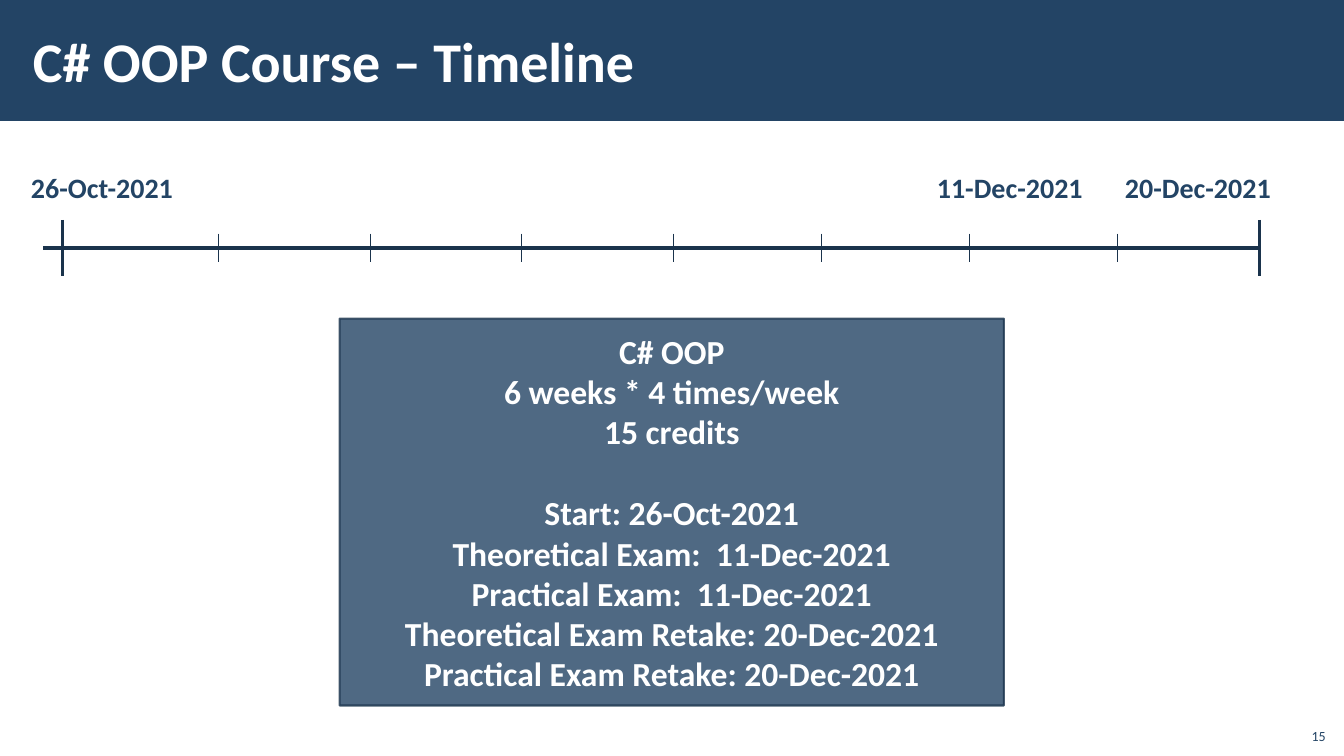
from lxml.etree import SubElement
from pptx import Presentation
from pptx.dml.color import RGBColor as RGB
from pptx.enum.shapes import MSO_CONNECTOR as Link, MSO_SHAPE as Form
from pptx.enum.text import MSO_ANCHOR as Anchor, PP_ALIGN as Align
from pptx.oxml.ns import qn
from pptx.util import Cm, Pt

HEX = {"navy": "234465", "dark": "1A334C", "white": "FFFFFF"}
WIDE, HIGH = 33.87, 19.05

DATES = [(0.53, "26-Oct-2021"), (23.36, "11-Dec-2021"), (28.1, "20-Dec-2021")]
FACTS = ["C# OOP", "6 weeks * 4 times/week", "15 credits"]
EXAMS = ["Start: 26-Oct-2021", "Theoretical Exam:  11-Dec-2021",
         "Practical Exam:  11-Dec-2021",
         "Theoretical Exam Retake: 20-Dec-2021",
         "Practical Exam Retake: 20-Dec-2021"]


def style(para, size, color, bold=True, align=Align.LEFT):
    looks = {"name": "Calibri", "size": Pt(size), "bold": bold}
    for key, value in looks.items():
        setattr(para.font, key, value)
    para.font.color.rgb = RGB.from_string(HEX[color])
    para.alignment = align


def fade(fill, percent):
    color = fill._xPr.find(qn("a:solidFill"))[0]
    SubElement(color, qn("a:alpha"), val=str(percent * 1000))


def block(slide, box, color):
    shape = slide.shapes.add_shape(Form.RECTANGLE, *map(Cm, box))
    shape.shadow.inherit = False
    shape.fill.solid()
    shape.fill.fore_color.rgb = RGB.from_string(HEX[color])
    return shape


def label(slide, box, text, size, **looks):
    frame = slide.shapes.add_textbox(*map(Cm, box)).text_frame
    frame.word_wrap = False
    frame.text = text
    style(frame.paragraphs[0], size, "navy", **looks)
    return frame


def rule(slide, start, end, width):
    line = slide.shapes.add_connector(Link.STRAIGHT, *map(Cm, start + end))
    line.line.width = Pt(width)
    line.line.color.rgb = RGB.from_string(HEX["dark"])
    SubElement(line.element.spPr, qn("a:effectLst"))


def header(slide, box, text):
    left, top, width, height = box
    title = slide.shapes.title
    band = block(slide, box, "navy")
    band.line.fill.background()
    title.element.addprevious(band.element)  # band goes behind the title
    place = {"left": left + 0.53, "top": top + 0.28,
             "width": 27, "height": height - 0.59}
    for key, value in place.items():
        setattr(title, key, Cm(value))
    frame = title.text_frame
    frame.text = text
    insets = {"margin_left": 0.3, "margin_right": 0.3,
              "margin_top": 0.1, "margin_bottom": 0.1}
    for key, value in insets.items():
        setattr(frame, key, Cm(value))
    frame.vertical_anchor = Anchor.MIDDLE
    style(frame.paragraphs[0], 40, "white")


def timeline(slide, box):
    left, top, width, height = box
    right, mid = left + width, top + 2.08
    for x, date in DATES:
        label(slide, (x, top, 4.2, 1.12), date, 20)
    # Axis and end marks
    rule(slide, (left, mid), (right, mid), 2.25)
    for x in (left + 0.48, right):
        rule(slide, (x, mid - 0.71), (x, mid + 0.71), 2.25)
    # Week ticks: slightly closer together after the fourth
    for week in range(7):
        x = left + 4.42 + 3.82 * min(week, 3) + 3.73 * max(week - 3, 0)
        rule(slide, (x, mid - 0.36), (x, mid + 0.36), 0.5)


def course(slide, box):
    panel = block(slide, box, "navy")
    fade(panel.fill, 80)
    panel.line.width = Pt(1.5)
    panel.line.color.rgb = RGB.from_string(HEX["dark"])
    fade(panel.line.fill, 80)
    frame = panel.text_frame
    frame.word_wrap = True
    frame.vertical_anchor = Anchor.MIDDLE
    frame.text = "\n".join(FACTS + EXAMS)
    for para in frame.paragraphs:
        style(para, 24, "white", align=Align.CENTER)
    frame.paragraphs[len(FACTS)].space_before = Pt(29)


def number(slide, box, text):
    frame = label(slide, box, text, 10, bold=False, align=Align.RIGHT)
    frame.word_wrap = True
    frame.vertical_anchor = Anchor.BOTTOM


def main():
    deck = Presentation()
    deck.slide_width, deck.slide_height = Cm(WIDE), Cm(HIGH)
    slide = deck.slides.add_slide(deck.slide_layouts[5])
    header(slide, (0, 0, WIDE, 3.05), "C# OOP Course – Timeline")
    timeline(slide, (1.09, 4.17, 30.66, 2.8))
    course(slide, (8.56, 8.03, 16.74, 9.75))
    number(slide, (32.64, 18.08, 1.02, 0.81), "15")
    deck.save("out.pptx")


if __name__ == "__main__":
    main()
